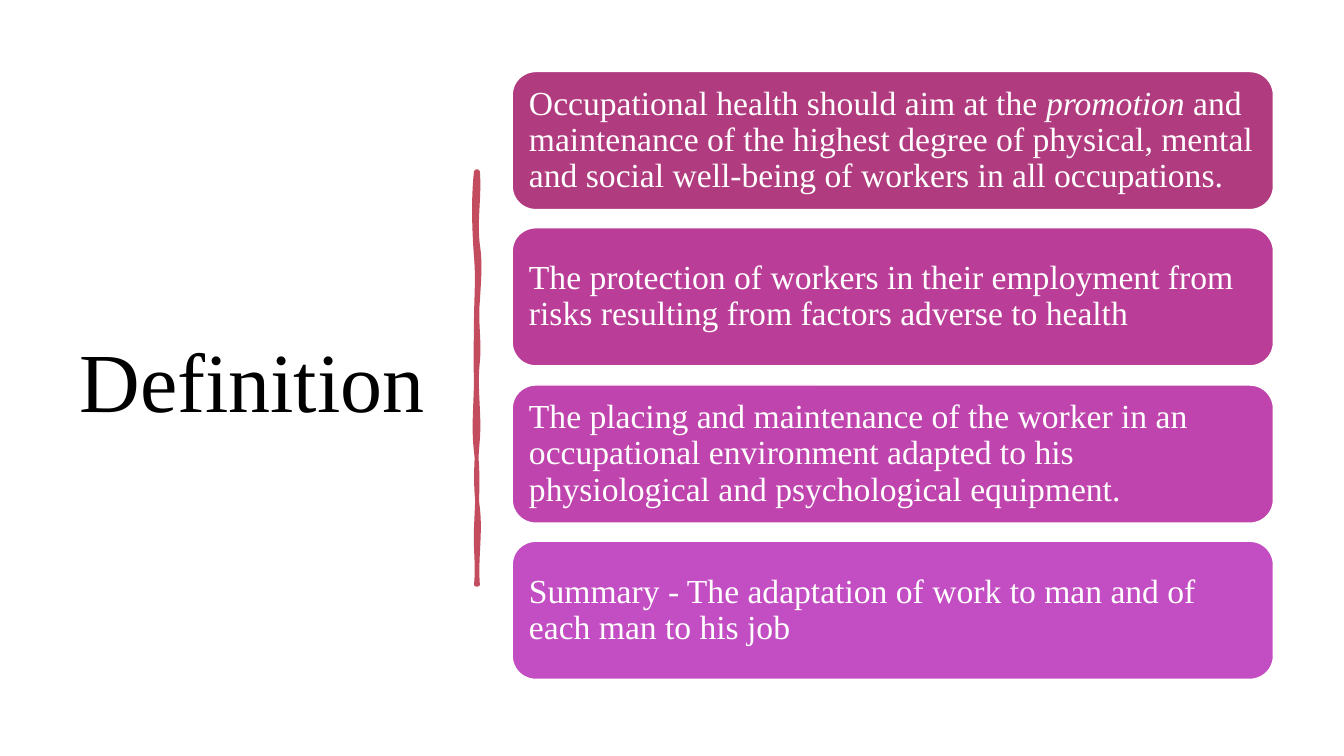
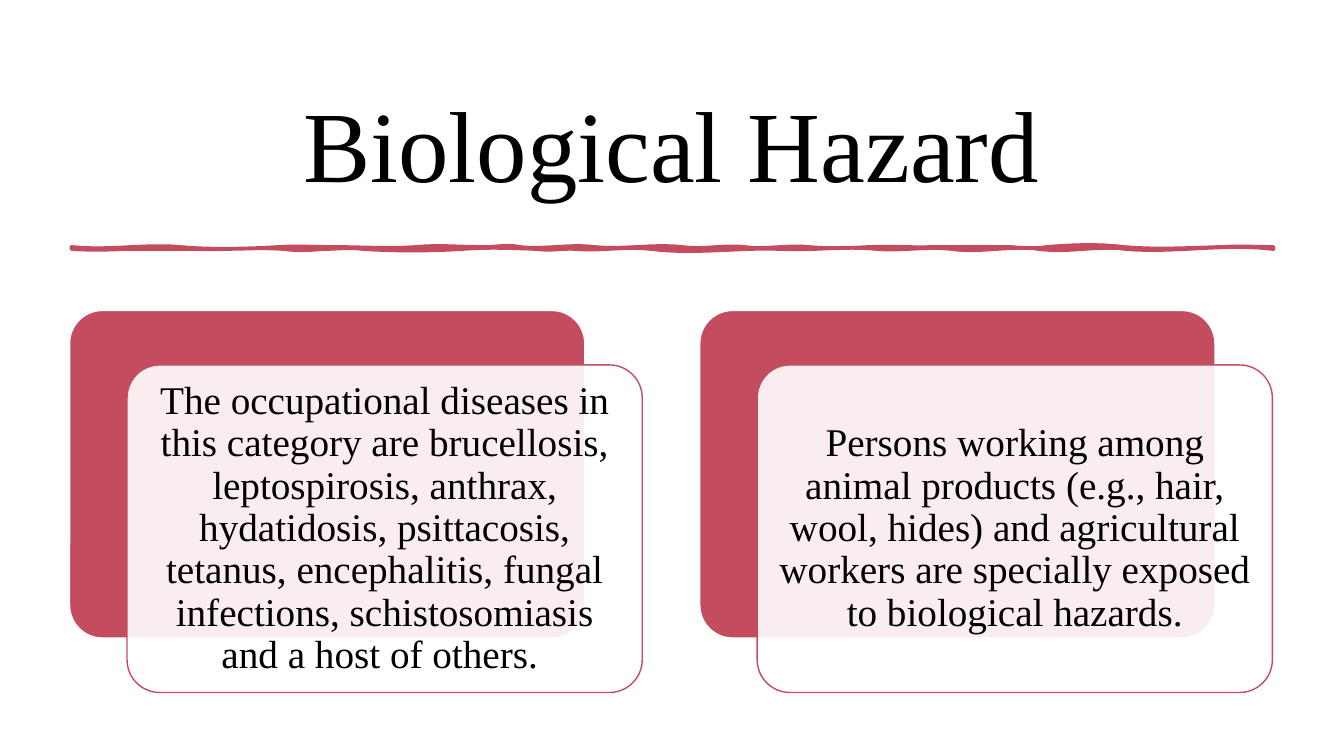
from dataclasses import dataclass
from typing import NamedTuple

from lxml import etree
from pptx import Presentation
from pptx import util as u
from pptx.dml.color import RGBColor
from pptx.enum import shapes, text
from pptx.oxml.ns import qn
from pptx.shapes.autoshape import Shape
from pptx.slide import Slide

PX = 9144
SLIDE_WIDTH, SLIDE_HEIGHT = 1333, 750
FONT = "Times New Roman"
COLORS = {
    "paper": "FFFFFF",
    "ink": "000000",
    "rose": "C34D5F",
    "berry": "B13B7F",
    "magenta": "BA3E97",
    "orchid": "C044AE",
    "violet": "C34DC2",
}


class Box(NamedTuple):
    left: int
    top: int
    width: int
    height: int


class Wave(NamedTuple):
    end: int
    first_bend: int
    second_bend: int


class Point(NamedTuple):
    x: float
    y: float


class Curve(NamedTuple):
    first_control: Point
    second_control: Point
    end: Point


class Run(NamedTuple):
    words: str
    italic: bool = False


@dataclass(frozen=True)
class TextStyle:
    size: int
    color: str
    align: text.PP_ALIGN = text.PP_ALIGN.LEFT
    spacing: float = 0.9


@dataclass(frozen=True)
class BrushRule:
    start: int
    near_level: int
    far_level: int
    outward: list[Wave]
    back: list[Wave]
    vertical: bool = False


@dataclass(frozen=True)
class Statement:
    color: str
    runs: list[Run]


STATEMENT_STYLE = TextStyle(24, "paper")
HAZARD_STYLE = TextStyle(28, "ink", text.PP_ALIGN.CENTER)

DEFINITION_RULE = BrushRule(
    170, 474, 472,
    [Wave(243, 2, -3), Wave(299, 3, 1), Wave(359, -2, 2),
     Wave(436, -3, 2), Wave(504, -2, -3), Wave(580, 3, -2)],
    [Wave(524, 2, -1), Wave(448, 1, 3), Wave(375, -3, 0),
     Wave(319, -1, 0), Wave(255, 0, 2), Wave(170, -2, -3)],
    vertical=True,
)
HAZARD_RULE = BrushRule(
    71, 247, 245,
    [Wave(122, 1, 1), Wave(196, 0, 0), Wave(282, 1, -2), Wave(321, 2, 1),
     Wave(360, 0, -2), Wave(458, 2, 2), Wave(533, -2, -1), Wave(572, 2, -1),
     Wave(646, 2, -3), Wave(744, 4, 1), Wave(807, -1, 1), Wave(870, -1, -2),
     Wave(944, 2, -3), Wave(1031, 4, -4), Wave(1117, 4, -4), Wave(1263, 4, -6)],
    [Wave(1212, 0, -1), Wave(1114, 1, 3), Wave(1039, -3, -2), Wave(1001, 2, 1),
     Wave(926, 0, 0), Wave(864, 1, -1), Wave(801, 1, 2), Wave(738, -2, 3),
     Wave(676, -2, 3), Wave(589, -3, 3), Wave(515, -3, 3), Wave(476, -3, 1),
     Wave(414, 0, -2), Wave(327, 2, 0), Wave(277, 0, -1), Wave(178, 2, 3),
     Wave(71, -3, 4)],
)

STATEMENTS = [
    Statement("berry", [
        Run("Occupational health should aim at the "),
        Run("promotion ", italic=True),
        Run("and maintenance of the highest degree of physical, mental "
            "and social well-being of workers in all occupations."),
    ]),
    Statement("magenta", [
        Run("The protection of workers in their employment from risks "
            "resulting from factors adverse to health"),
    ]),
    Statement("orchid", [
        Run("The placing and maintenance of the worker in an occupational "
            "environment adapted to his physiological and psychological equipment."),
    ]),
    Statement("violet", [
        Run("Summary - The adaptation of work to man and of each man to his job"),
    ]),
]
HAZARDS = [
    "The occupational diseases in this category are brucellosis, leptospirosis, "
    "anthrax, hydatidosis, psittacosis, tetanus, encephalitis, fungal infections, "
    "schistosomiasis and a host of others. ",
    "Persons working among animal products (e.g., hair, wool, hides) and "
    "agricultural workers are specially exposed to biological hazards.",
]


def px(length: float) -> int:
    return round(length * PX)


def rgb(name: str) -> RGBColor:
    return RGBColor.from_string(COLORS[name])


def paint(shape: Shape, fill: str, line: str | None = None,
          weight: float = 1) -> None:
    shape.shadow.inherit = False
    shape.fill.solid()
    shape.fill.fore_color.rgb = rgb(fill)
    if line is None:
        shape.line.fill.background()
        return
    shape.line.color.rgb = rgb(line)
    shape.line.width = u.Pt(weight)


def set_opacity(shape: Shape, percent: int) -> None:
    color = shape.fill._xPr.find(qn("a:solidFill"))[0]
    etree.SubElement(color, qn("a:alpha"), val=str(percent * 1000))


def write(shape: Shape, runs: list[Run], style: TextStyle,
          inset: tuple[int, int]) -> None:
    frame = shape.text_frame
    frame.word_wrap = True
    frame.vertical_anchor = text.MSO_ANCHOR.MIDDLE
    frame.margin_left = frame.margin_right = px(inset[0])
    frame.margin_top = frame.margin_bottom = px(inset[1])
    paragraph = frame.paragraphs[0]
    paragraph.alignment = style.align
    paragraph.line_spacing = style.spacing
    paragraph.font.name = FONT
    paragraph.font.size = u.Pt(style.size)
    paragraph.font.color.rgb = rgb(style.color)
    for part in runs:
        run = paragraph.add_run()
        run.text = part.words
        if part.italic:
            run.font.italic = True


def add_title(slide: Slide, words: str, box: Box, style: TextStyle) -> None:
    title = slide.shapes.add_textbox(*map(px, box))
    write(title, [Run(words)], style, (10, 5))


def add_card(slide: Slide, box: Box, fill: str, line: str,
             corner: float) -> Shape:
    card = slide.shapes.add_shape(
        shapes.MSO_SHAPE.ROUNDED_RECTANGLE, *map(px, box))
    card.adjustments[0] = corner
    paint(card, fill, line)
    return card


def trace_edge(start: int, level: int, waves: list[Wave]) -> list[Curve]:
    curves = []
    for end, first_bend, second_bend in waves:
        third = (end - start) / 3
        curves.append(Curve(
            Point(start + third, level + first_bend),
            Point(end - third, level + second_bend),
            Point(end, level)))
        start = end
    return curves


def bend_segments(shape: Shape, curves: list[Curve]) -> None:
    segments = list(shape._element.iter(qn("a:lnTo")))
    for segment, curve in zip(segments, curves):
        segment.tag = qn("a:cubicBezTo")
        for index, control in enumerate(curve[:2]):
            point = etree.Element(
                qn("a:pt"),
                x=str(px(control.x) - shape.left),
                y=str(px(control.y) - shape.top))
            segment.insert(index, point)


def add_brush_rule(slide: Slide, rule: BrushRule) -> None:
    start = Point(rule.start, rule.near_level)
    turn = Point(rule.outward[-1].end, rule.far_level)
    curves = trace_edge(*start, rule.outward)
    curves.append(Curve(turn, turn, turn))
    curves += trace_edge(*turn, rule.back)
    if rule.vertical:
        start = Point(start.y, start.x)
        curves = [Curve(*(Point(y, x) for x, y in curve)) for curve in curves]
    builder = slide.shapes.build_freeform(px(start.x), px(start.y), scale=1.0)
    builder.add_line_segments(
        [(px(curve.end.x), px(curve.end.y)) for curve in curves], close=True)
    stroke = builder.convert_to_shape()
    bend_segments(stroke, curves)
    paint(stroke, "rose", "rose", 2.75)


def add_slide(presentation: Presentation) -> Slide:
    slide = presentation.slides.add_slide(presentation.slide_layouts[6])
    backdrop = slide.shapes.add_shape(
        shapes.MSO_SHAPE.RECTANGLE, 0, 0, px(SLIDE_WIDTH), px(SLIDE_HEIGHT))
    paint(backdrop, "paper")
    return slide


def build_definition(presentation: Presentation) -> None:
    slide = add_slide(presentation)
    add_title(slide, "Definition", Box(69, 70, 374, 611),
              TextStyle(60, "ink", spacing=1.0))
    add_brush_rule(slide, DEFINITION_RULE)
    first_top, last_top = 71, 537
    pitch = (last_top - first_top) / (len(STATEMENTS) - 1)
    for index, statement in enumerate(STATEMENTS):
        box = Box(508, round(first_top + index * pitch), 755, 137)
        card = add_card(slide, box, statement.color, "paper", 0.17)
        write(card, statement.runs, STATEMENT_STYLE, (10, 10))


def build_hazard(presentation: Presentation) -> None:
    slide = add_slide(presentation)
    add_title(slide, "Biological Hazard", Box(69, 69, 1194, 144),
              TextStyle(72, "ink", text.PP_ALIGN.CENTER, 1.0))
    add_brush_rule(slide, HAZARD_RULE)
    for index, words in enumerate(HAZARDS):
        back = Box(69 + index * 625, 308, 511, 325)
        front = back._replace(left=back.left + 57, top=back.top + 54)
        add_card(slide, back, "rose", "paper", 0.1)
        card = add_card(slide, front, "paper", "rose", 0.1)
        set_opacity(card, 90)
        write(card, [Run(words)], HAZARD_STYLE, (12, 12))


def main() -> None:
    presentation = Presentation()
    presentation.slide_width = px(SLIDE_WIDTH)
    presentation.slide_height = px(SLIDE_HEIGHT)
    build_definition(presentation)
    build_hazard(presentation)
    presentation.save("out.pptx")


if __name__ == "__main__":
    main()
